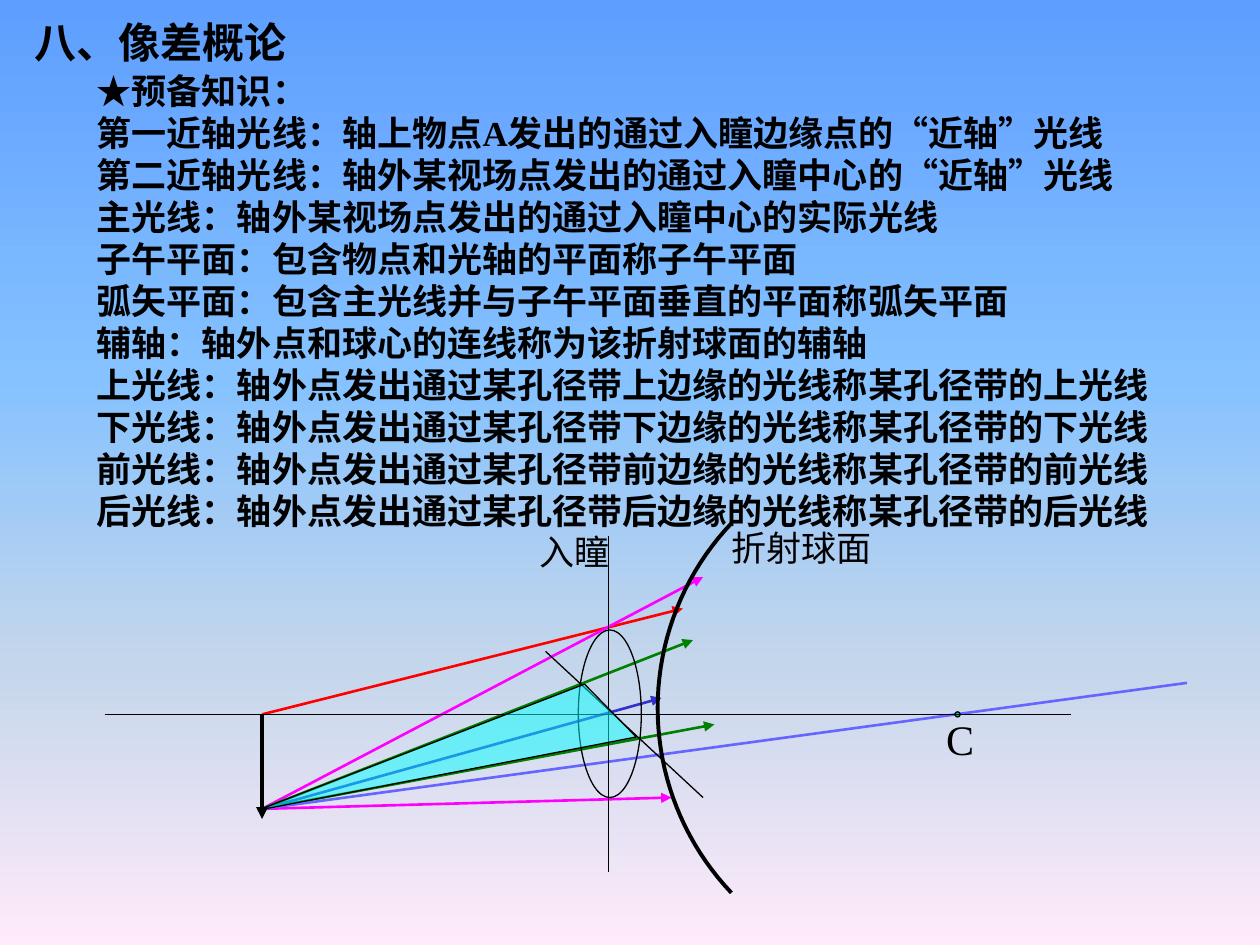
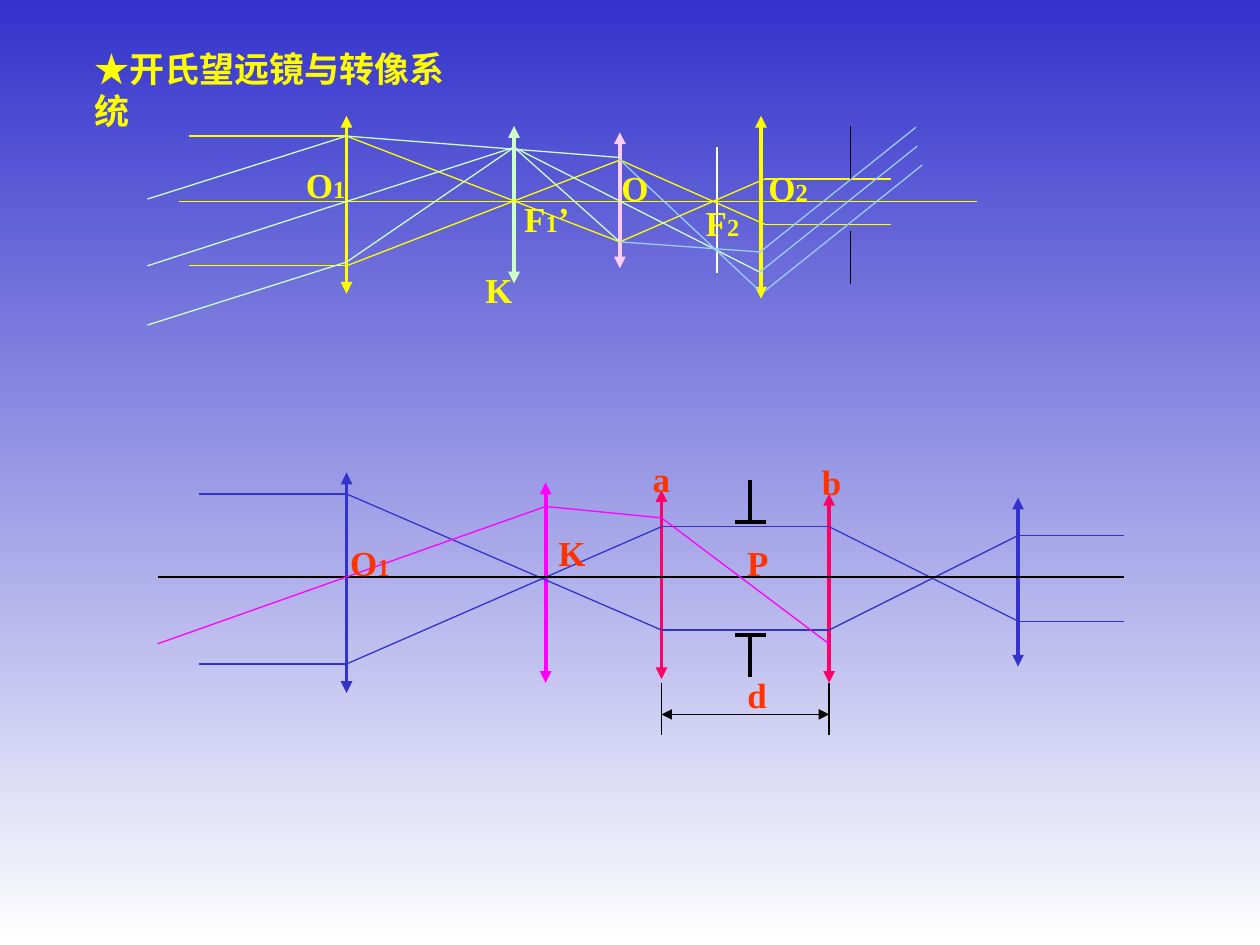
from itertools import groupby, pairwise
from math import cos, radians, sin

from lxml import etree
from pptx import Presentation
from pptx.dml.color import RGBColor as RGB
from pptx.enum.shapes import MSO_CONNECTOR as CONN, MSO_SHAPE as SHAPE
from pptx.enum.text import MSO_ANCHOR as ANCHOR, MSO_AUTO_SIZE as AUTO, PP_ALIGN as ALIGN
from pptx.oxml import parse_xml
from pptx.oxml.ns import nsdecls, qn
from pptx.util import Inches, Pt


class Theme:
    font = "Times New Roman"
    head, body, sub = 24, 20, 14
    thin, ray, lens = 0.75, 1.5, 2.25
    black, white, red, magenta = "000000", "FFFFFF", "FF0000", "FF00FF"
    green, blue, violet, teal, cyan = "008000", "3333CC", "6666FF", "00CC99", "00FFFF"
    yellow, mint, pink, sky = "FFFF00", "CCFFCC", "FFCCFF", "99CCFF"
    orange, rose = "FF3300", "FF0066"
    pastel = [(0, "5E9EFF"), (40, "85C2FF"), (70, "C4D6EB"), (100, "FFEBFA")]
    deep = [(0, blue), (100, white)]


T = Theme

# Slide 1: definitions
TERMS = [
    "★预备知识：",
    "第一近轴光线：轴上物点A发出的通过入瞳边缘点的“近轴”光线",
    "第二近轴光线：轴外某视场点发出的通过入瞳中心的“近轴”光线",
    "主光线：轴外某视场点发出的通过入瞳中心的实际光线",
    "子午平面：包含物点和光轴的平面称子午平面",
    "弧矢平面：包含主光线并与子午平面垂直的平面称弧矢平面",
    "辅轴：轴外点和球心的连线称为该折射球面的辅轴",
    "上光线：轴外点发出通过某孔径带上边缘的光线称某孔径带的上光线",
    "下光线：轴外点发出通过某孔径带下边缘的光线称某孔径带的下光线",
    "前光线：轴外点发出通过某孔径带前边缘的光线称某孔径带的前光线",
    "后光线：轴外点发出通过某孔径带后边缘的光线称某孔径带的后光线",
]

# Slide 1: rays as (colour, start, end)
AXIS_POINT, OFF_AXIS = (2.08, 5.67), (2.08, 6.42)
OBJECT_RAYS = [
    (T.red, AXIS_POINT, (5.42, 4.83)),
    (T.blue, (2.05, 6.43), (5.25, 5.54)),
    (T.magenta, OFF_AXIS, (5.58, 4.58)),
    (T.magenta, OFF_AXIS, (5.33, 6.33)),
    (T.green, OFF_AXIS, (5.5, 5.08)),
    (T.green, OFF_AXIS, (5.67, 5.75)),
]
GUIDES = [
    [(0.83, 5.67), (8.5, 5.67)],
    [(4.83, 4.25), (4.83, 6.92)],
    [(4.33, 5.17), (5.58, 6.33)],
]
SAGITTAL_FAN = [(2.05, 6.43), (4.64, 5.43), (5.05, 5.85)]
SPHERE = dict(cx=7.35, cy=5.62, radius=2.13, start=223.5, end=136.5)
PUPIL_LABELS = [
    ("C", T.head, (7.41, 5.61, 0.42, 0.5)),
    ("入瞳", T.body, (4.18, 4.16, 0.76, 0.43)),
    ("折射球面", T.body, (5.71, 4.13, 1.31, 0.43)),
]

# Slide 2: ray paths as (colour, points)
RAY_PATHS = [
    (T.yellow, [(1.5, 1.08), (2.75, 1.08), (4.92, 1.92), (6.07, 1.42), (7.07, 1.42)]),
    (T.yellow, [(1.5, 2.11), (2.75, 2.11), (4.92, 1.27), (6.07, 1.78), (7.07, 1.78)]),
    (T.yellow, [(1.42, 1.6), (7.75, 1.6)]),
    (T.mint, [(1.17, 1.58), (2.75, 1.08), (4.92, 1.25)]),
    (T.mint, [(1.17, 2.11), (4.08, 1.17), (6.05, 2.17)]),
    (T.mint, [(1.17, 2.58), (2.75, 2.08), (4.08, 1.17), (4.92, 1.92)]),
    (T.blue, [(1.58, 3.92), (2.75, 3.92), (5.25, 5), (6.58, 5), (8.08, 4.25), (8.92, 4.25)]),
    (T.blue, [(1.58, 5.27), (2.75, 5.27), (5.25, 4.18), (6.58, 4.18), (8.08, 4.93), (8.92, 4.93)]),
    (T.black, [(1.25, 4.58), (8.92, 4.58)]),
    (T.magenta, [(1.25, 5.11), (4.33, 4.02), (5.25, 4.11), (6.58, 5.11)]),
    (T.sky, [(4.91, 1.26), (6.02, 2.3)]),
    (T.sky, [(4.92, 1.92), (6.04, 2)]),
    (T.sky, [(6.02, 2.01), (7.27, 1.01)]),
    (T.sky, [(6.03, 2.16), (7.28, 1.16)]),
    (T.sky, [(6.07, 2.31), (7.32, 1.31)]),
]
# Lenses as (colour, x, top, bottom)
LENSES = [
    (T.yellow, 2.75, 0.92, 2.33), (T.yellow, 6.04, 0.92, 2.37),
    (T.pink, 4.92, 1.05, 2.13), (T.mint, 4.08, 1, 2.25),
    (T.blue, 8.08, 3.95, 5.29), (T.blue, 2.75, 3.75, 5.5),
    (T.rose, 5.25, 3.89, 5.39), (T.rose, 6.58, 3.92, 5.42),
    (T.magenta, 4.33, 3.83, 5.42),
]
# Exit pupil edges and dimension marks as (x, top, bottom)
MARKS = [(6.75, 1, 1.42), (6.75, 1.83, 2.25), (5.25, 5.42, 5.83), (6.58, 5.42, 5.83)]
STOP_JAWS = [(5.04, 5.37), (4.14, 3.81)]
# Labels as (text, left, top, width)
LENS_LABELS = {
    T.yellow: [("O1", 2.33, 1.25, 0.51), ("O2", 6, 1.27, 0.51), ("F1’", 4.06, 1.52, 0.56),
               ("F2", 5.5, 1.55, 0.47), ("O", 4.83, 1.27, 0.42), ("K", 3.75, 2.08, 0.42)],
    T.orange: [("O1", 2.68, 4.25, 0.51), ("P", 5.83, 4.25, 0.37), ("a", 5.08, 3.58, 0.34),
               ("b", 6.42, 3.61, 0.36), ("d", 5.83, 5.3, 0.36), ("K", 4.33, 4.17, 0.42)],
}


# Helpers
def box(*lengths):
    return [Inches(v) for v in lengths]


def write(p, text, size, color, bold=False):
    r = p.add_run()
    r.text = text
    for name, value in dict(name=T.font, size=Pt(size), bold=bold).items():
        setattr(r.font, name, value)
    r.font.color.rgb = RGB.from_string(color)


def frame(shape, wrap=False, **extra):
    tf = shape.text_frame
    settings = dict(word_wrap=wrap, vertical_anchor=ANCHOR.TOP, auto_size=AUTO.SHAPE_TO_FIT_TEXT)
    for name, value in (settings | extra).items():
        setattr(tf, name, value)
    return tf


def new_slide(prs, stops, title, place, size, color, wrap):
    s = prs.slides.add_slide(prs.slide_layouts[5])
    marks = "".join(f'<a:gs pos="{pos * 1000}"><a:srgbClr val="{c}"/></a:gs>' for pos, c in stops)
    s.element.cSld.insert(0, parse_xml(
        f'<p:bg {nsdecls("p", "a")}><p:bgPr><a:gradFill rotWithShape="1"><a:gsLst>{marks}</a:gsLst>'
        '<a:lin ang="5400000" scaled="1"/></a:gradFill><a:effectLst/></p:bgPr></p:bg>'))
    sp = s.shapes.title
    for name, value in zip(("left", "top", "width", "height"), box(*place)):
        setattr(sp, name, value)
    p = frame(sp, wrap).paragraphs[0]
    p.alignment = ALIGN.LEFT
    write(p, title, size, color, True)
    return s


def line(s, start, end, color=T.black, width=T.thin, ends=()):
    c = s.shapes.add_connector(CONN.STRAIGHT, *box(*start, *end))
    c.line.color.rgb = RGB.from_string(color)
    c.line.width = Pt(width)
    ln = c.line._get_or_add_ln()
    for end_name in ends:
        etree.SubElement(ln, qn(f"a:{end_name}"), type="triangle")
    etree.SubElement(c._element.spPr, qn("a:effectLst"))


def style(sp, fill=None, width=T.thin, alpha=None):
    sp.shadow.inherit = False
    sp.line.color.rgb = RGB.from_string(T.black)
    sp.line.width = Pt(width)
    if not fill:
        sp.fill.background()
        return
    sp.fill.solid()
    sp.fill.fore_color.rgb = RGB.from_string(fill)
    if alpha:
        clr = sp._element.spPr.find(f".//{qn('a:srgbClr')}")
        etree.SubElement(clr, qn("a:alpha"), val=str(alpha * 1000))


def outline(s, points, close):
    pts = [tuple(box(*pt)) for pt in points]
    fb = s.shapes.build_freeform(*pts[0])
    fb.add_line_segments(pts[1:], close=close)
    return fb.convert_to_shape()


TAIL, BOTH = ("tailEnd",), ("headEnd", "tailEnd")


def aberration_slide(prs):
    s = new_slide(prs, T.pastel, "八、像差概论", (0.17, 0.08, 2.21, 0.5), T.head, T.black, False)
    tf = frame(s.shapes.add_textbox(*box(0.67, 0.5, 8.67, 3.77)), True)
    for i, term in enumerate(TERMS):
        write(tf.add_paragraph() if i else tf.paragraphs[0], term, T.body, T.black, True)

    # Rays and auxiliary axis through the centre of curvature
    for color, start, end in OBJECT_RAYS:
        line(s, start, end, color, T.ray, TAIL)
    line(s, OFF_AXIS, (9.42, 5.42), T.violet, T.ray)
    style(s.shapes.add_shape(SHAPE.OVAL, *box(7.58, 5.65, 0.04, 0.04)), T.teal)

    # Refracting sphere
    steps = 40
    sweep = (SPHERE["end"] - SPHERE["start"]) / steps
    angles = [radians(SPHERE["start"] + i * sweep) for i in range(steps + 1)]
    arc = [(SPHERE["cx"] + SPHERE["radius"] * cos(a), SPHERE["cy"] + SPHERE["radius"] * sin(a))
           for a in angles]
    style(outline(s, arc, False), width=T.lens)

    # Pupil, object and sagittal fan
    for start, end in GUIDES:
        line(s, start, end)
    style(s.shapes.add_shape(SHAPE.OVAL, *box(4.59, 5, 0.5, 1.33)))
    line(s, AXIS_POINT, (2.08, 6.5), width=T.lens, ends=TAIL)
    for text, size, place in PUPIL_LABELS:
        tf = frame(s.shapes.add_textbox(*box(*place)))
        write(tf.paragraphs[0], text, size, T.black)
    style(outline(s, SAGITTAL_FAN, True), T.cyan, alpha=50)


def telescope_slide(prs):
    s = new_slide(prs, T.deep, "★开氏望远镜与转像系统", (0.65, 0.33, 3.23, 0.76),
                  T.body, T.yellow, True)
    # Lenses, field stop and rays
    for color, x, top, bottom in LENSES:
        line(s, (x, top), (x, bottom), color, T.lens, BOTH)
    line(s, (5.69, 1.17), (5.69, 2.17), T.white, T.ray)
    for color, points in RAY_PATHS:
        for start, end in pairwise(points):
            line(s, start, end, color)

    # Aperture stop and dimension d
    for edge, outer in STOP_JAWS:
        line(s, (5.83, edge), (6.08, edge), width=T.lens)
        line(s, (5.95, edge), (5.95, outer), width=T.lens)
    for x, top, bottom in MARKS:
        line(s, (x, top), (x, bottom))
    line(s, (5.25, 5.67), (6.58, 5.67), ends=BOTH)

    # Labels on one line without side margins, digits set smaller
    for color, labels in LENS_LABELS.items():
        for text, left, top, width in labels:
            tf = frame(s.shapes.add_textbox(*box(left, top, width, 0.43)),
                       vertical_anchor=ANCHOR.MIDDLE, margin_left=0, margin_right=0)
            p = tf.paragraphs[0]
            p.alignment = ALIGN.CENTER
            for is_digit, chars in groupby(text, str.isdigit):
                write(p, "".join(chars), T.sub if is_digit else T.body, color, True)


def main():
    prs = Presentation()
    prs.slide_width, prs.slide_height = box(10, 7.5)
    aberration_slide(prs)
    telescope_slide(prs)
    prs.save("out.pptx")


if __name__ == "__main__":
    main()
